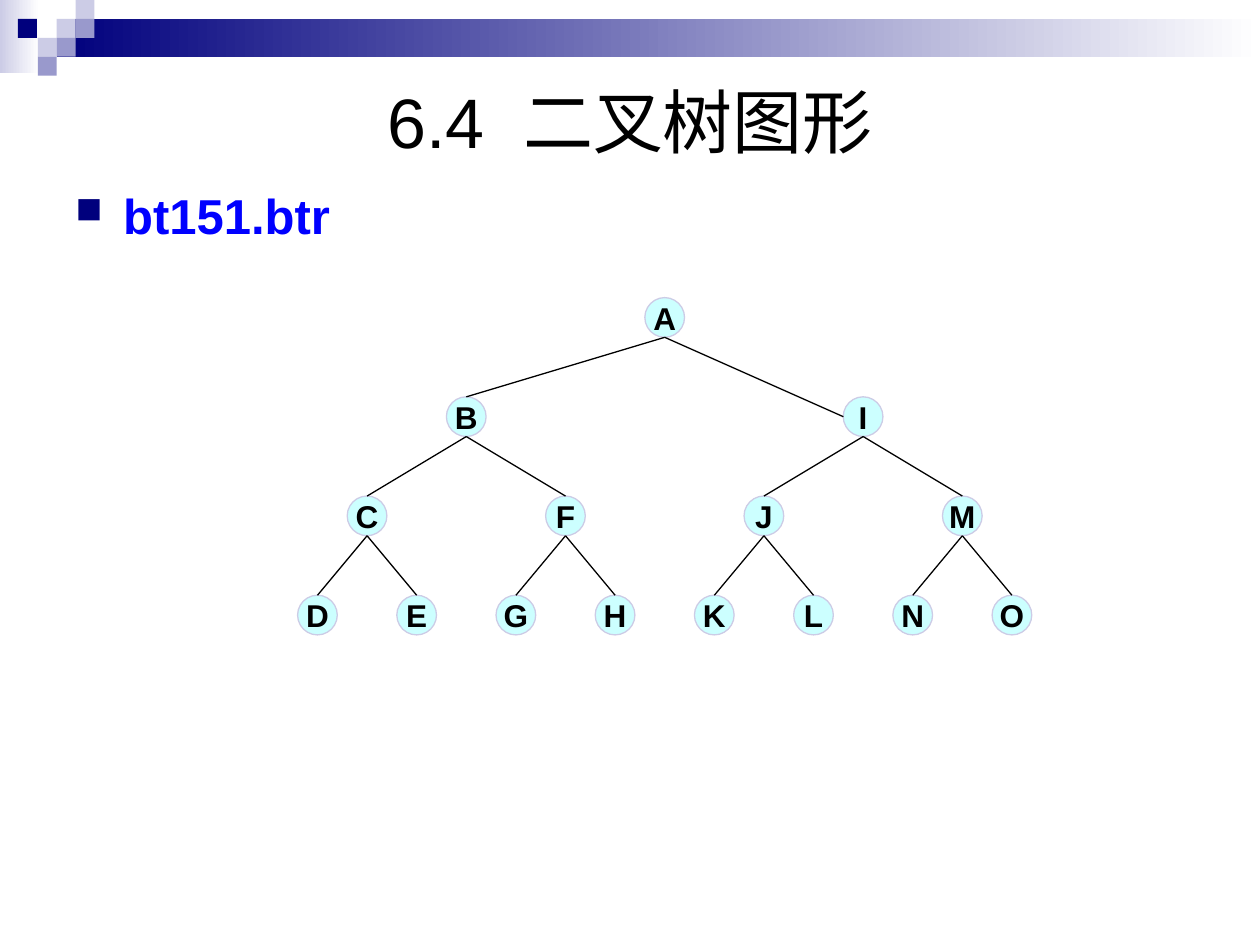
from lxml import etree
from pptx import Presentation, util as u
from pptx.dml.color import RGBColor
from pptx.enum import shapes, text
from pptx.oxml.ns import qn

HEADING = ("6.4", " ", "二叉树图形")
FILE_LABEL = "bt151.btr"
TREE_LEVELS = ["A", "BI", "CFJM", "DEGHKLNO"]
SIDE_ENTRY = {"I"}

THEME = {
    "font": "Arial", "ink": "000000", "label": "0000FF",
    "navy": "00007D", "violet": "9999CC", "lilac": "CCCCE6", "white": "FFFFFF",
    "node": "CCFFFF", "heading_size": 40, "label_size": 28, "node_size": 18,
    "hairline": 0.75, "gap_tracking": 1100,
}

WIDTH, HEIGHT = u.Inches(10), u.Inches(7.5)
TILE = WIDTH * 0.015
BANDS = [(0, 0, 2.07, 3.87, "lilac"), (3, 1, WIDTH / TILE - 3, 2, "navy")]
TILES = [(3, 1, "lilac"), (4, 0, "lilac"), (4, 1, "violet"), (2, 2, "lilac"),
         (0.95, 1, "navy"), (3, 2, "violet"), (2, 3, "violet")]

STEP, NODE = u.Cm(2), u.Cm(0.8)
FIRST_LEAF, TREE_TOP = u.Cm(6.4), u.Cm(6)


def rgb(role):
    return RGBColor.from_string(THEME[role])


def style(target, formats):
    for name, value in formats.items():
        setattr(target, name, value)


def style_font(font, size, role, bold=False):
    style(font, {"name": THEME["font"], "size": u.Pt(THEME[size]), "bold": bold})
    font.color.rgb = rgb(role)


def add_block(slide, kind, left, top, width, height):
    block = slide.shapes.add_shape(kind, *map(round, (left, top, width, height)))
    block.shadow.inherit = False
    return block


def add_corner(slide):
    for col, row, cols, rows, role in BANDS:
        band = add_block(slide, shapes.MSO_SHAPE.RECTANGLE,
                         col * TILE, row * TILE, cols * TILE, rows * TILE)
        band.fill.gradient()
        band.fill.gradient_angle = 0
        for stop, shade in zip(band.fill.gradient_stops, (role, "white")):
            stop.color.rgb = rgb(shade)
        band.line.fill.background()
    for col, row, role in TILES:
        tile = add_block(slide, shapes.MSO_SHAPE.RECTANGLE,
                         col * TILE, row * TILE, TILE, TILE)
        tile.fill.solid()
        tile.fill.fore_color.rgb = rgb(role)
        tile.line.fill.background()


def add_text_area(slide, top, height, anchor):
    area = slide.shapes.add_textbox(
        round(WIDTH * 0.05), u.Inches(top), round(WIDTH * 0.9), u.Inches(height))
    style(area.text_frame, {"word_wrap": True, "vertical_anchor": anchor})
    return area.text_frame.paragraphs[0]


def add_heading(slide):
    heading = add_text_area(slide, 0.5, 0.92, text.MSO_ANCHOR.MIDDLE)
    heading.alignment = text.PP_ALIGN.CENTER
    for part in HEADING:
        run = heading.add_run()
        run.text = part
        style_font(run.font, "heading_size", "ink")
        if part == " ":
            run.font._element.set("spc", str(THEME["gap_tracking"]))


def add_file_label(slide):
    label = add_text_area(slide, 1.42, 5.33, text.MSO_ANCHOR.TOP)
    props = label._p.get_or_add_pPr()
    indent = u.Inches(0.38)
    props.set("marL", str(indent))
    props.set("indent", str(-indent))
    bullet_color = etree.SubElement(props, qn("a:buClr"))
    etree.SubElement(bullet_color, qn("a:srgbClr"), val=THEME["navy"])
    etree.SubElement(props, qn("a:buSzPct"), val="75000")
    etree.SubElement(props, qn("a:buChar"), char="■")
    run = label.add_run()
    run.text = FILE_LABEL
    style_font(run.font, "label_size", "label", True)


def node_center(depth, index):
    span = len(TREE_LEVELS[-1]) / len(TREE_LEVELS[depth])
    return FIRST_LEAF + STEP * ((index + 0.5) * span - 0.5)


def node_top(depth):
    return TREE_TOP + depth * STEP


def add_node(slide, letter, depth, index):
    node = add_block(slide, shapes.MSO_SHAPE.OVAL,
                     node_center(depth, index) - NODE / 2, node_top(depth), NODE, NODE)
    node.fill.solid()
    node.fill.fore_color.rgb = rgb("node")
    node.line.color.rgb = rgb("lilac")
    node.line.width = u.Pt(THEME["hairline"])
    style(node.text_frame, {"text": letter, "word_wrap": False,
                            "vertical_anchor": text.MSO_ANCHOR.MIDDLE})
    caption = node.text_frame.paragraphs[0]
    caption.alignment = text.PP_ALIGN.CENTER
    style_font(caption.runs[0].font, "node_size", "ink", True)


def add_branch(slide, letter, depth, index):
    start = node_center(depth - 1, index // 2), node_top(depth - 1) + NODE
    end_x, end_y = node_center(depth, index), node_top(depth)
    if letter in SIDE_ENTRY:
        end_x, end_y = end_x - NODE / 2, end_y + NODE / 2
    branch = slide.shapes.add_connector(
        shapes.MSO_CONNECTOR.STRAIGHT, *map(round, (*start, end_x, end_y)))
    branch.line.color.rgb = rgb("ink")
    branch.line.width = u.Pt(THEME["hairline"])
    etree.SubElement(branch._element.spPr, qn("a:effectLst"))


def add_tree(slide):
    nodes = [(letter, depth, index)
             for depth, level in enumerate(TREE_LEVELS)
             for index, letter in enumerate(level)]
    for node in nodes:
        add_node(slide, *node)
    for node in nodes[1:]:
        add_branch(slide, *node)


def main():
    deck = Presentation()
    style(deck, {"slide_width": WIDTH, "slide_height": HEIGHT})
    slide = deck.slides.add_slide(deck.slide_layouts[6])
    for add_part in (add_corner, add_heading, add_file_label, add_tree):
        add_part(slide)
    deck.save("out.pptx")


if __name__ == "__main__":
    main()
